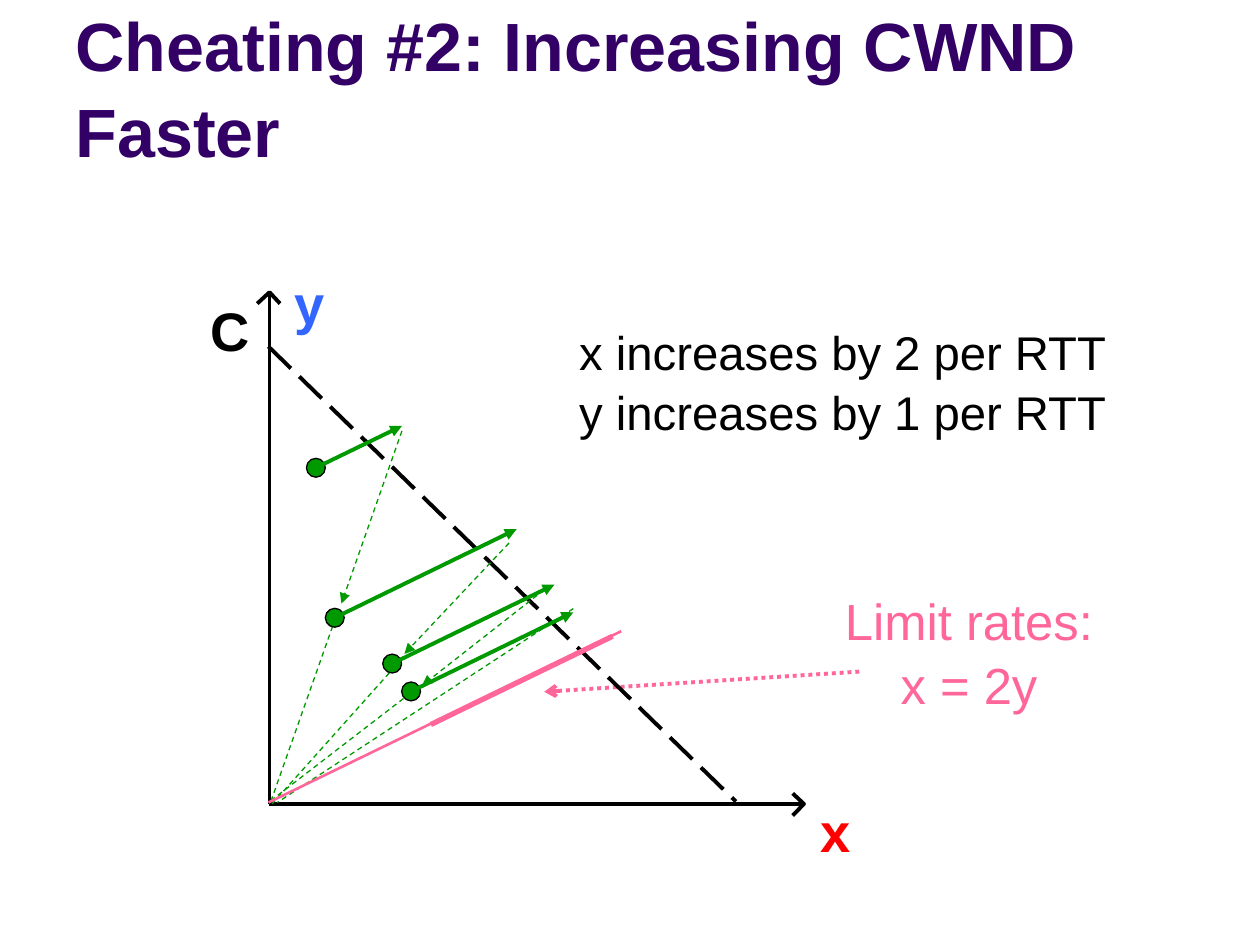
import pptx
import pptx.util
import pptx.dml.color
import pptx.enum.dml
import pptx.enum.shapes
import pptx.enum.text
import pptx.oxml.ns
from lxml import etree

Pt = pptx.util.Pt
RGB = pptx.dml.color.RGBColor
Dash = pptx.enum.dml.MSO_LINE
Shape = pptx.enum.shapes.MSO_SHAPE
Wire = pptx.enum.shapes.MSO_CONNECTOR
Align = pptx.enum.text.PP_ALIGN
Anchor = pptx.enum.text.MSO_ANCHOR
Fit = pptx.enum.text.MSO_AUTO_SIZE
qn = pptx.oxml.ns.qn

BLACK = RGB(0, 0, 0)
WHITE = RGB(255, 255, 255)
PURPLE = RGB(0x33, 0, 0x66)
GREEN = RGB(0, 0x99, 0)
PINK = RGB(0xFF, 0x66, 0x99)
RED = RGB(0xFF, 0, 0)
BLUE = RGB(0x33, 0x66, 0xFF)


class Board:
    font = "Arial"
    lead = 1.05
    radius = 5.4

    def __init__(self, deck):
        self.slide = deck.slides.add_slide(deck.slide_layouts[5])
        self.shapes = self.slide.shapes

    def fill_rows(self, frame, rows, align, **style):
        """Fill a text frame, one paragraph per row."""
        for i, row in enumerate(rows):
            para = frame.paragraphs[0] if i == 0 else frame.add_paragraph()
            para.alignment = align
            para.line_spacing = self.lead
            run = para.add_run()
            run.text = row
            run.font.color.rgb = style["color"]
            form = {"name": self.font, "size": Pt(style["size"]),
                    "bold": style.get("bold", False)}
            for key, value in form.items():
                setattr(run.font, key, value)

    def title(self, text, box):
        head = self.shapes.title
        for key, value in zip(("left", "top", "width", "height"), box):
            setattr(head, key, Pt(value))
        frame = head.text_frame
        form = {"vertical_anchor": Anchor.BOTTOM, "word_wrap": True,
                "auto_size": Fit.NONE}
        for key, value in form.items():
            setattr(frame, key, value)
        self.fill_rows(frame, [text], Align.LEFT,
                       color=PURPLE, size=39, bold=True)

    def text(self, rows, box, align=Align.RIGHT, pad=(0, 0), wrap=False,
             fill=None, **style):
        item = self.shapes.add_textbox(*map(Pt, box))
        if fill is not None:
            item.fill.solid()
            item.fill.fore_color.rgb = fill
        frame = item.text_frame
        side, edge = map(Pt, pad)
        form = {"margin_left": side, "margin_right": side,
                "margin_top": edge, "margin_bottom": edge,
                "word_wrap": wrap, "auto_size": Fit.SHAPE_TO_FIT_TEXT}
        for key, value in form.items():
            setattr(frame, key, value)
        self.fill_rows(frame, rows, align, **style)

    def line(self, start, end, color, width, dash=None, tip=None):
        wire = self.shapes.add_connector(
            Wire.STRAIGHT, *map(Pt, (*start, *end)))
        wire.line.color.rgb = color
        wire.line.width = Pt(width)
        if dash is not None:
            wire.line.dash_style = dash
        props = wire._element.spPr
        if tip:
            tail = etree.SubElement(props.find(qn("a:ln")), qn("a:tailEnd"))
            tail.set("type", tip)
        etree.SubElement(props, qn("a:effectLst"))

    def chevron(self, points):
        first, *rest = [tuple(map(Pt, p)) for p in points]
        pen = self.shapes.build_freeform(*first)
        pen.add_line_segments(rest, close=False)
        mark = pen.convert_to_shape()
        mark.shadow.inherit = False
        mark.fill.background()
        mark.line.color.rgb = BLACK
        mark.line.width = Pt(2.25)

    def dot(self, x, y):
        r = self.radius
        ball = self.shapes.add_shape(
            Shape.OVAL, Pt(x - r), Pt(y - r), Pt(2 * r), Pt(2 * r))
        ball.shadow.inherit = False
        ball.fill.solid()
        ball.fill.fore_color.rgb = GREEN
        ball.line.color.rgb = BLACK
        ball.line.width = Pt(0.75)


def main():
    deck = pptx.Presentation()
    deck.slide_width, deck.slide_height = Pt(720), Pt(540)
    board = Board(deck)
    board.title("Cheating #2: Increasing CWND Faster", (36, 9.4, 648, 92))

    board.text(["Limit rates:", "x = 2y"], (453, 332, 201.6, 76.3),
               Align.CENTER, (6.5, 3.2), True, WHITE, color=PINK, size=29)
    board.line((491, 383.8), (311, 395.3), PINK, 2.25, Dash.ROUND_DOT, "arrow")

    # Axes with their open heads
    zero, top, right = (154, 459.4), (154, 167), (459.4, 459.4)
    board.line(zero, top, BLACK, 2.25)
    board.chevron([(160, 173.5), top, (147, 173.5)])
    board.line(zero, right, BLACK, 2.25)
    board.chevron([(453, 466), right, (453, 453.4)])
    for name, box, color in (("C", (120.2, 167.8, 22.3, 37.4), BLACK),
                             ("x", (468.7, 454.3, 17.3, 37.4), RED),
                             ("y", (168.5, 152.6, 17.3, 37.4), BLUE)):
        board.text([name], box, color=color, size=31, bold=True)

    board.text(["x increases by 2 per RTT", "y increases by 1 per RTT"],
               (321.8, 180, 316.8, 72), pad=(6.5, 3.2), color=BLACK, size=27)
    board.line((153.4, 198), (420.5, 458), BLACK, 2.25, Dash.LONG_DASH)

    # Each round: dot, end of growth, back-off from and to, ray from and to
    rounds = [
        ((180.5, 267.3), (229.7, 243.4), (229.7, 246.2), (195.1, 344.9),
         None, None),
        ((191.3, 353), (295.2, 302.4), (290.9, 310.3), (231.1, 373.7),
         (190.1, 357.8), (154.8, 457.9)),
        ((224.1, 379.2), (316.8, 334.1), (311, 337), (241.2, 391.7),
         (222.5, 384.5), (155.5, 459.4)),
        ((234.9, 395.1), (327.6, 349.9), None, None,
         (234.7, 396), (153.4, 458.6)),
    ]
    for dot, peak, high, low, ray, foot in rounds:
        if ray:
            board.line(ray, foot, GREEN, 0.75, Dash.DASH)
        board.dot(*dot)
        if high:
            board.line(high, low, GREEN, 0.75, Dash.DASH, "triangle")
        board.line(dot, peak, GREEN, 2.25, tip="triangle")
    board.line((327.6, 347.8), (158.4, 458.6), GREEN, 0.75, Dash.DASH)

    # Limit line, with its final range thicker
    board.line((153.4, 458.6), (355, 360.7), PINK, 1.5)
    board.line((246.2, 414), (350, 363.6), PINK, 3)
    deck.save("out.pptx")


if __name__ == "__main__":
    main()
